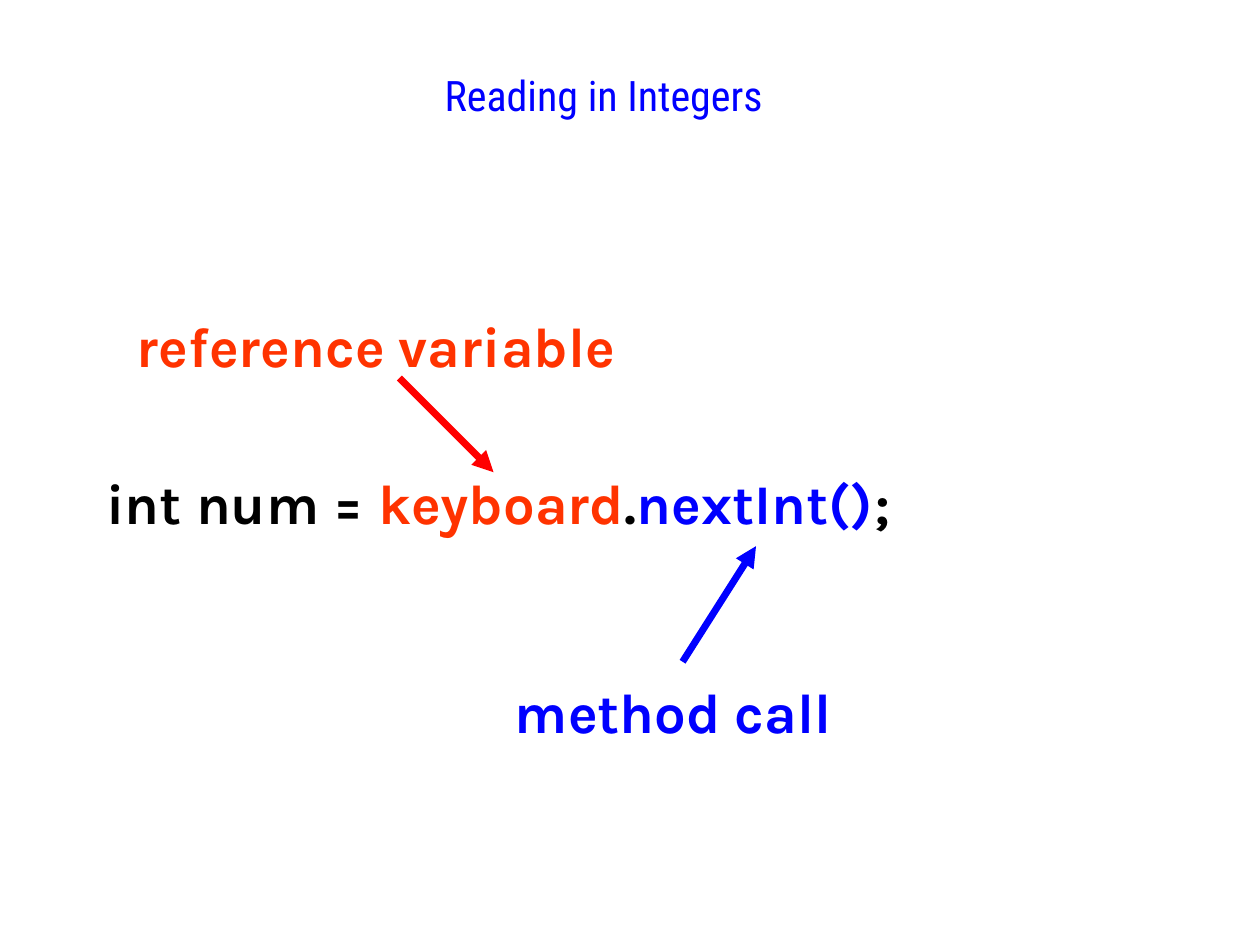
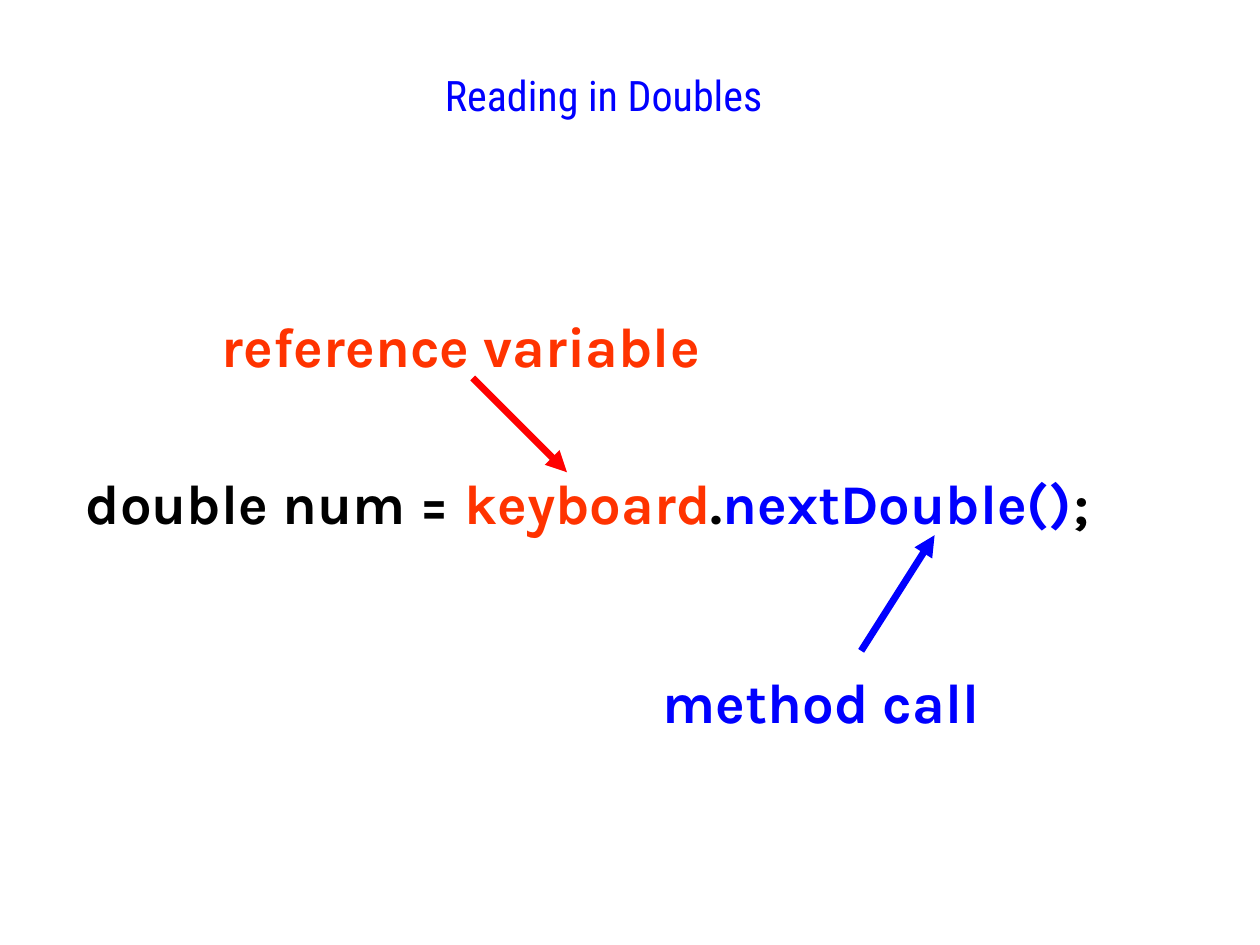
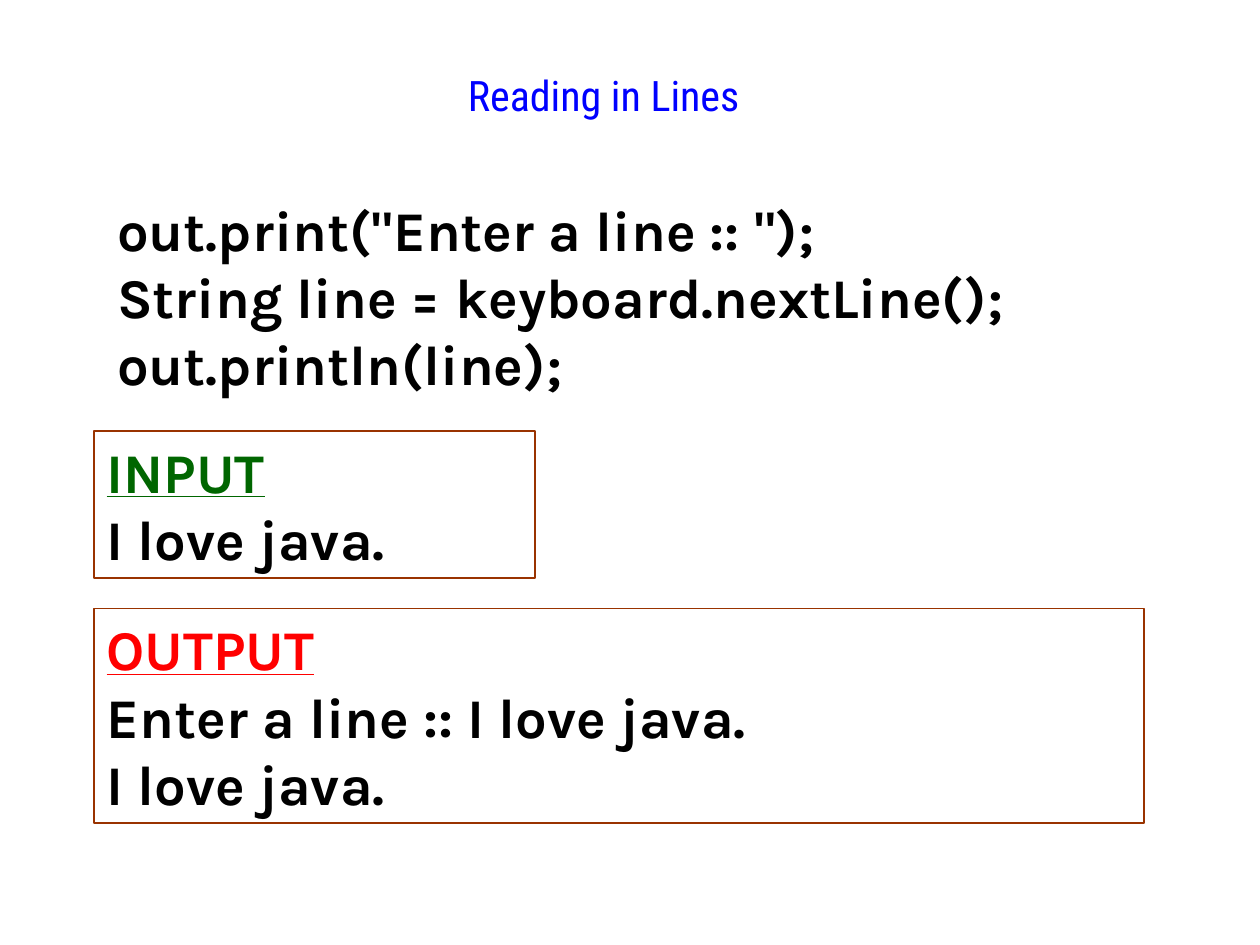
from lxml.etree import SubElement
from pptx import Presentation
from pptx.dml.color import RGBColor
from pptx.enum.shapes import MSO_CONNECTOR, MSO_SHAPE
from pptx.enum.text import MSO_ANCHOR, MSO_AUTO_SIZE, PP_ALIGN
from pptx.oxml.ns import qn
from pptx.util import Cm, Pt

# Shared style
BLACK, BLUE, RED = "000000", "0000FF", "FF0000"
ORANGE, GREEN, BROWN, WHITE = "FF3300", "006600", "993300", "FFFFFF"
TITLE_FONT, CODE_FONT = "Roboto Condensed", "Karla"
rgb = RGBColor.from_string


def write_lines(shape, lines, wrap=True):
    """Write lines, each a list of (text, colour) runs, in the code style."""
    frame = shape.text_frame
    frame.word_wrap = wrap
    frame.vertical_anchor = MSO_ANCHOR.TOP
    for index, line in enumerate(lines):
        paragraph = frame.add_paragraph() if index else frame.paragraphs[0]
        paragraph.alignment = PP_ALIGN.LEFT
        for text, colour in line:
            run = paragraph.add_run()
            run.text = text
            run.font.name = CODE_FONT
            run.font.size = Pt(32)
            run.font.bold = True
            run.font.color.rgb = rgb(colour)


def add_box(slide, left, top, width, height, fill=None, line=None):
    """Add a plain rectangle with an optional fill and outline."""
    box = slide.shapes.add_shape(
        MSO_SHAPE.RECTANGLE, Cm(left), Cm(top), Cm(width), Cm(height))
    box.shadow.inherit = False
    if fill:
        box.fill.solid()
        box.fill.fore_color.rgb = rgb(fill)
    else:
        box.fill.background()
    if line:
        box.line.color.rgb = rgb(line)
        box.line.width = Pt(1)
    else:
        box.line.fill.background()
    return box


presentation = Presentation()
presentation.slide_width = Cm(25.4)
presentation.slide_height = Cm(19.05)

# Slides with their titles
slides = []
for topic in ("Integers", "Doubles", "Lines"):
    slide = presentation.slides.add_slide(presentation.slide_layouts[5])
    title = slide.shapes.title
    title.left, title.top = Cm(4.45), Cm(1.27)
    title.width, title.height = Cm(15.44), Cm(2.11)
    frame = title.text_frame
    frame.text = f"Reading in {topic}"
    frame.auto_size = MSO_AUTO_SIZE.NONE
    frame.vertical_anchor = MSO_ANCHOR.TOP
    paragraph = frame.paragraphs[0]
    paragraph.alignment = PP_ALIGN.CENTER
    font = paragraph.runs[0].font
    font.name, font.size = TITLE_FONT, Pt(24)
    font.color.rgb = rgb(BLUE)
    slides.append(slide)
integers_slide, doubles_slide, lines_slide = slides

# Integers and doubles: a statement with its two parts pointed out
statements = [
    # slide, type, method, code (left, width), label and arrow starts
    (integers_slide, "int", "nextInt()", (1.9, 18.2),
     (2.51, 6.15), (8.05, 7.62), (10.13, 13.54), (13.76, 13.34)),
    (doubles_slide, "double", "nextDouble()", (1.48, 22.43),
     (4.22, 6.15), (9.53, 7.62), (13.11, 13.34), (17.36, 13.12)),
]
for (slide, type_name, method, (code_left, code_width),
     variable_label, variable_arrow, method_label, method_arrow) in statements:
    code = add_box(slide, code_left, 9.32, code_width, 1.6, fill=WHITE)
    write_lines(code, [[(f"{type_name} num = ", BLACK), ("keyboard", ORANGE),
                        (".", BLACK), (method, BLUE), (";", BLACK)]])

    for text, colour, (left, top), width in (
            ("reference variable", ORANGE, variable_label, 10.85),
            ("method call", BLUE, method_label, 7.16)):
        label = slide.shapes.add_textbox(Cm(left), Cm(top), Cm(width), Cm(1.63))
        write_lines(label, [[(text, colour)]], wrap=False)

    for colour, (x, y), (run_x, run_y) in (
            (RED, variable_arrow, (1.9, 1.9)),
            (BLUE, method_arrow, (1.48, -2.33))):
        arrow = slide.shapes.add_connector(
            MSO_CONNECTOR.STRAIGHT, Cm(x), Cm(y), Cm(x + run_x), Cm(y + run_y))
        arrow.line.color.rgb = rgb(colour)
        arrow.line.width = Pt(4)
        properties = arrow.line._get_or_add_ln()
        SubElement(properties, qn("a:tailEnd"), type="triangle")
        SubElement(arrow._element.spPr, qn("a:effectLst"))

# Lines: the program
program = add_box(lines_slide, 2.11, 3.81, 20.32, 4.32, fill=WHITE)
write_lines(program, [[(line, BLACK)] for line in (
    'out.print("Enter a line :: ");',
    "String line = keyboard.nextLine();",
    "out.println(line);")])

# Lines: what is typed and what is printed
for heading, colour, top, width, height, lines in (
        ("INPUT", GREEN, 8.69, 8.89, 2.97, ["I love java."]),
        ("OUTPUT", RED, 12.27, 21.17, 4.32,
         ["Enter a line :: I love java.", "I love java."])):
    console = add_box(lines_slide, 1.9, top, width, height, line=BROWN)
    write_lines(console, [[(heading, colour)]] + [[(line, BLACK)] for line in lines])
    console.text_frame.paragraphs[0].runs[0].font.underline = True

presentation.save("out.pptx")
